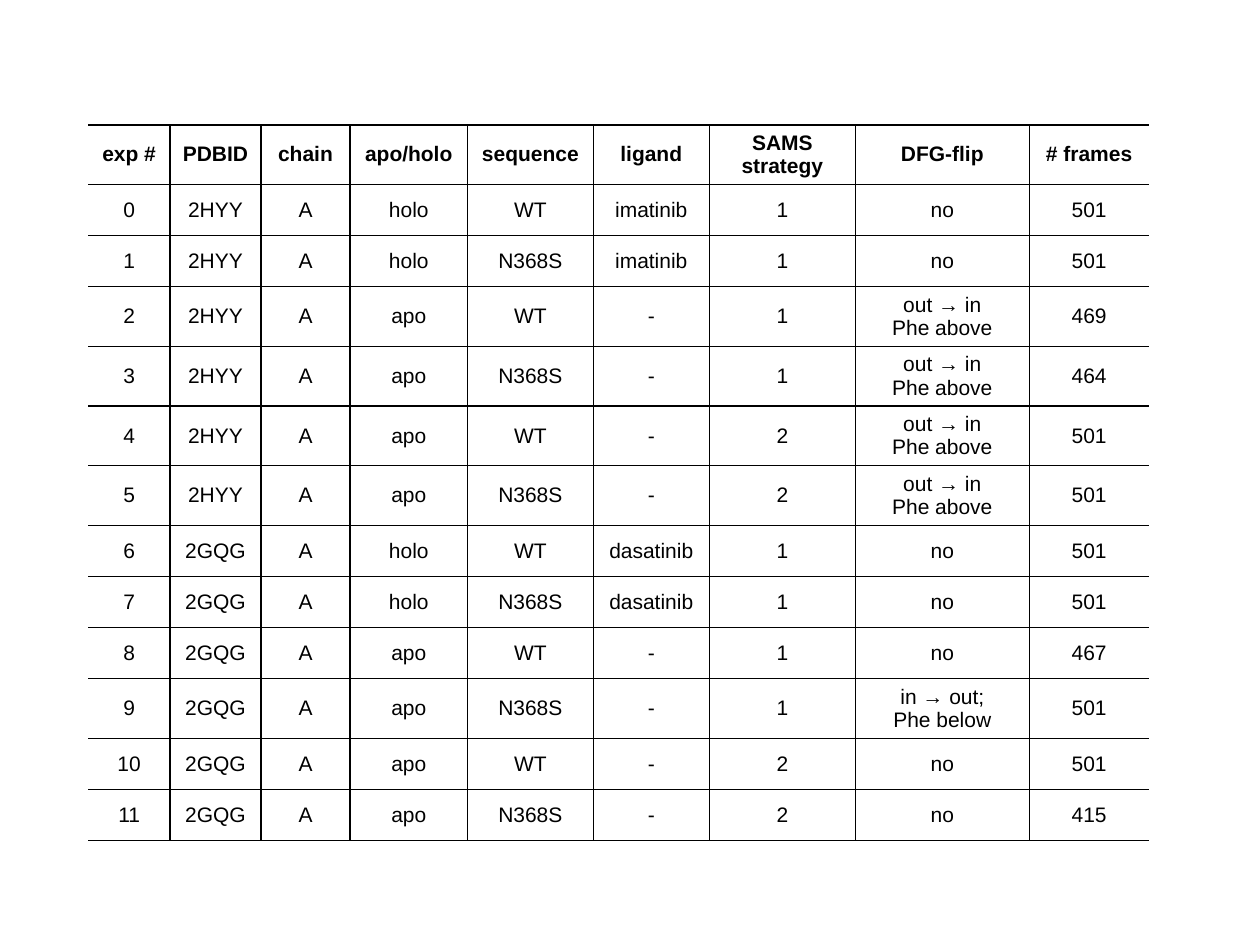
from lxml import etree
from pptx import Presentation
from pptx.dml.color import RGBColor
from pptx.enum.text import MSO_ANCHOR, PP_ALIGN
from pptx.oxml.ns import qn
from pptx.util import Inches, Pt

CENTER = PP_ALIGN.CENTER
MIDDLE = MSO_ANCHOR.MIDDLE
BLACK = RGBColor(0x00, 0x00, 0x00)
FONT = "Arial"
FONT_SIZE = Pt(12)
BORDER = Pt(1)
ROW_HEIGHT = Pt(29.2)
COLUMN_WIDTHS = (0.65, 0.72, 0.71, 0.93, 1, 0.92, 1.16, 1.38, 0.95)
TABLE_LEFT, TABLE_TOP = 0.7, 0.99

HEADER = ("exp #", "PDBID", "chain", "apo/holo", "sequence", "ligand",
          "SAMS strategy", "DFG-flip", "# frames")
SEQUENCES = ("WT", "N368S")
FLIP_IN = "out → in\nPhe above"
FLIP_OUT = "in → out;\nPhe below"
EXPERIMENTS = (
    ("2HYY", "holo", "imatinib", "1", ("no", "no"), ("501", "501")),
    ("2HYY", "apo", "-", "1", (FLIP_IN, FLIP_IN), ("469", "464")),
    ("2HYY", "apo", "-", "2", (FLIP_IN, FLIP_IN), ("501", "501")),
    ("2GQG", "holo", "dasatinib", "1", ("no", "no"), ("501", "501")),
    ("2GQG", "apo", "-", "1", ("no", FLIP_OUT), ("467", "501")),
    ("2GQG", "apo", "-", "2", ("no", "no"), ("501", "415")),
)


def experiment_rows():
    """Return one row of cell texts per experiment, two sequences per setup."""
    rows = []
    for pdbid, state, ligand, strategy, flips, frames in EXPERIMENTS:
        for sequence, flip, count in zip(SEQUENCES, flips, frames):
            rows.append((str(len(rows)), pdbid, "A", state, sequence,
                         ligand, strategy, flip, count))
    return rows


def set_border(cell, side, visible):
    """Draw or clear one side of a cell, in the order L, R, T, B."""
    line = etree.SubElement(cell._tc.get_or_add_tcPr(), qn(f"a:ln{side}"), w=str(BORDER))
    if visible:
        fill = etree.SubElement(line, qn("a:solidFill"))
        etree.SubElement(fill, qn("a:srgbClr"), val=str(BLACK))
    else:
        etree.SubElement(line, qn("a:noFill"))


def fill_cell(cell, text, bold):
    """Write centred text into an unfilled cell."""
    cell.fill.background()
    cell.vertical_anchor = MIDDLE
    cell.text = text
    for para in cell.text_frame.paragraphs:
        para.alignment = CENTER
        para.font.name = FONT
        para.font.size = FONT_SIZE
        para.font.bold = bold
        para.font.color.rgb = BLACK


def add_experiment_table(page, rows):
    """Add the ruled table, open at its left and right edges."""
    last = len(COLUMN_WIDTHS) - 1
    frame = page.shapes.add_table(
        len(rows), len(COLUMN_WIDTHS), Inches(TABLE_LEFT), Inches(TABLE_TOP),
        Inches(sum(COLUMN_WIDTHS)), ROW_HEIGHT * len(rows))
    table = frame.table
    table.first_row = False
    table.horz_banding = False
    for column, width in zip(table.columns, COLUMN_WIDTHS):
        column.width = Inches(width)
    for row_index, texts in enumerate(rows):
        table.rows[row_index].height = ROW_HEIGHT
        for column_index, text in enumerate(texts):
            cell = table.cell(row_index, column_index)
            set_border(cell, "L", column_index > 0)
            set_border(cell, "R", column_index < last)
            set_border(cell, "T", True)
            set_border(cell, "B", True)
            fill_cell(cell, text, bold=row_index == 0)


def main():
    """Build the slide and save it."""
    deck = Presentation()
    deck.slide_width, deck.slide_height = Inches(10), Inches(7.5)
    page = deck.slides.add_slide(deck.slide_layouts[6])
    add_experiment_table(page, [HEADER, *experiment_rows()])
    deck.save("out.pptx")


if __name__ == "__main__":
    main()
